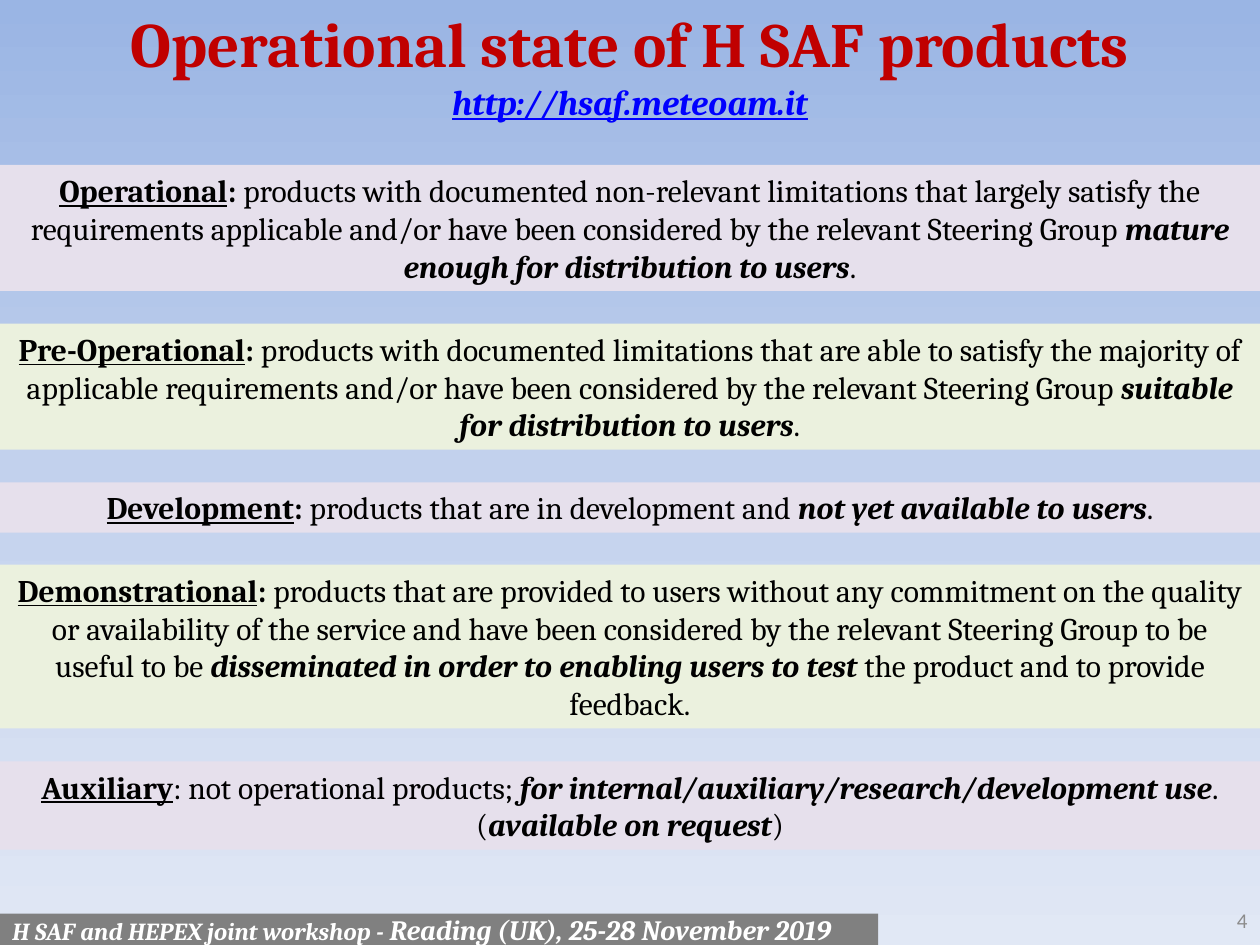
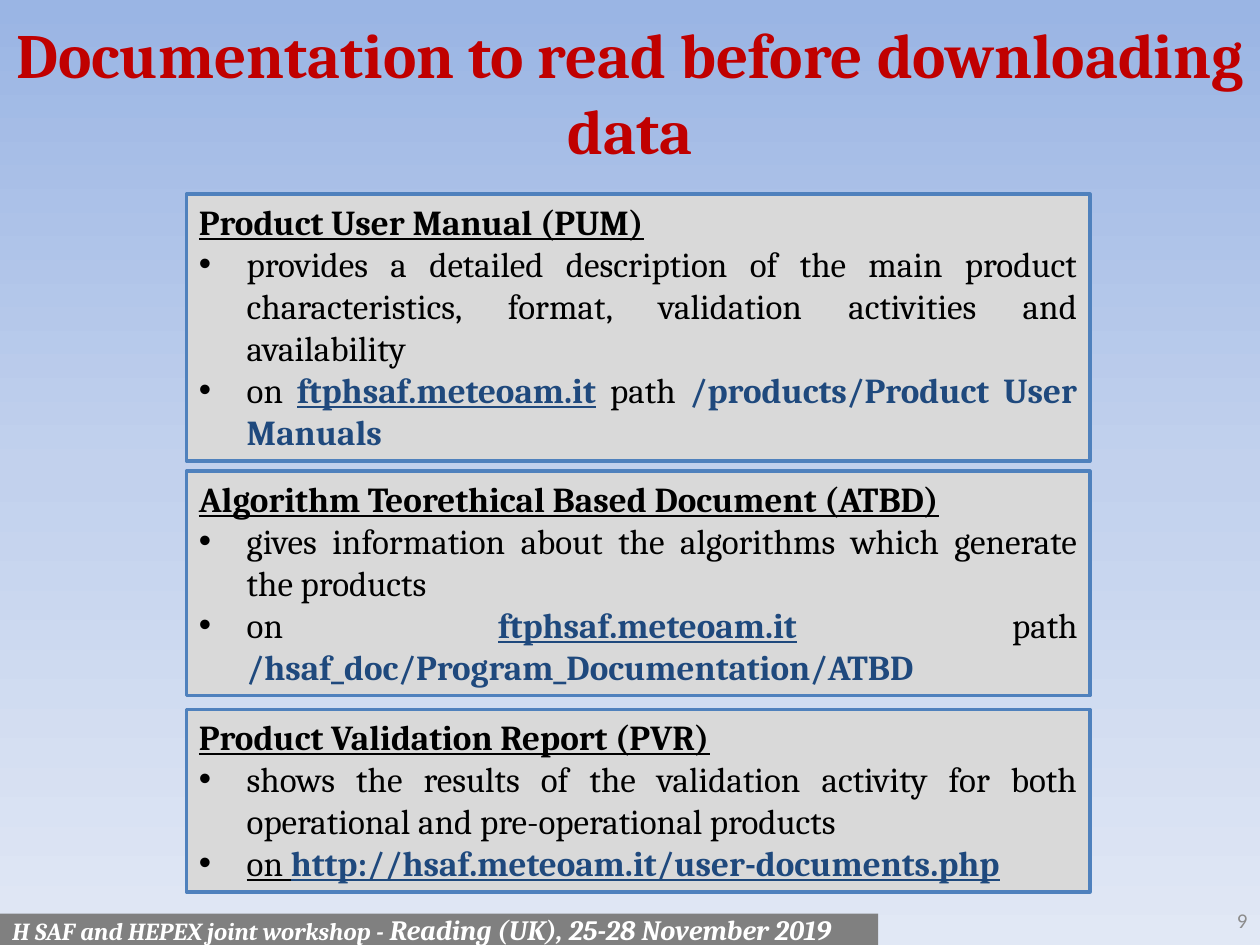
from copy import deepcopy

from lxml import etree
from pptx import Presentation
from pptx.dml.color import RGBColor
from pptx.enum.shapes import MSO_SHAPE
from pptx.enum.text import MSO_ANCHOR, MSO_AUTO_SIZE, PP_ALIGN
from pptx.oxml.ns import qn
from pptx.util import Inches, Pt

RECT = MSO_SHAPE.RECTANGLE
TOP, MIDDLE = MSO_ANCHOR.TOP, MSO_ANCHOR.MIDDLE
LEFT, CENTER, RIGHT, JUSTIFY = PP_ALIGN.LEFT, PP_ALIGN.CENTER, PP_ALIGN.RIGHT, PP_ALIGN.JUSTIFY
GROW, FIXED = MSO_AUTO_SIZE.SHAPE_TO_FIT_TEXT, MSO_AUTO_SIZE.NONE

COLORS = {
    "title": "C00000", "link": "0000FF", "text": "000000", "path": "1F497D",
    "lilac": "E6E0EC", "green": "EBF1DE", "panel": "D9D9D9", "border": "4F81BD",
    "footer": "808080", "white": "FFFFFF", "number": "8C8C8C",
}
BACKGROUND = [(0, "9AB5E4"), (0.5, "C2D1ED"), (1, "E1E8F5")]

STATES = [
    (3, [[("Operational", "bu"), (": ", "b"),
          ("products with documented non-relevant limitations that largely satisfy the "
           "requirements applicable and/or have been considered by the relevant Steering Group ", ""),
          ("mature enough for distribution to users", "bi"), (".", "")]]),
    (3, [[("Pre-Operational", "bu"), (": ", "b"),
          ("products with documented limitations that are able to satisfy the majority of "
           "applicable requirements and/or have been considered by the relevant Steering Group ", ""),
          ("suitable for distribution to users", "bi"), (".", "")]]),
    (1, [[("Development", "bu"), (": ", "b"), ("products that are in development and ", ""),
          ("not yet available to users", "bi"), (".", "")]]),
    (4, [[("Demonstrational", "bu"), (":", "b"),
          (" products that are provided to users without any commitment on the quality or "
           "availability of the service and have been considered by the relevant Steering Group "
           "to be useful to be ", ""),
          ("disseminated in order to enabling users to test", "bi"),
          (" the product and to provide feedback.", "")]]),
    (2, [[("Auxiliary", "bu"), (": not operational products; ", ""),
          ("for internal/auxiliary/research/development use", "bi"), (".", "")],
         [("(", ""), ("available on request", "bi"), (")", "")]]),
]

FTP = [("on ", ""), ("ftphsaf.meteoam.it", "bup"), (" path ", "")]
DOCUMENTS = [
    (1.54, 2.12, "Product User Manual (PUM)",
     "provides a detailed description of the main product characteristics, format, "
     "validation activities and availability",
     FTP + [("/products/Product User Manuals", "bp")]),
    (3.74, 1.78, "Algorithm Teorethical Based Document (ATBD)",
     "gives information about the algorithms which generate the products",
     FTP + [("/hsaf_doc/Program_Documentation/ATBD", "bp")]),
    (5.63, 1.45, "Product Validation Report (PVR)",
     "shows the results of the validation activity for both operational and "
     "pre-operational products",
     [("on ", "u"), ("http://hsaf.meteoam.it/user-documents.php", "bup")]),
]


class Deck:
    """Holds the shared style and the current slide of the deck."""

    def __init__(self):
        self.prs = Presentation()
        self.prs.slide_width, self.prs.slide_height = Inches(10), Inches(7.5)
        master = self.prs.slide_master
        fill = master.background.fill
        fill.gradient()
        fill.gradient_angle = 270
        stops = master.element.xpath("./p:cSld/p:bg//a:gsLst")[0]
        stops.append(deepcopy(stops[0]))
        for stop, (position, color) in zip(fill.gradient_stops, BACKGROUND):
            stop.position = position
            stop.color.rgb = RGBColor.from_string(color)

    def style(self, r, size, flags="", color="text", name="Cambria"):
        r.font.name, r.font.size = name, Pt(size)
        r.font.bold, r.font.italic, r.font.underline = (f in flags for f in "biu")
        r.font.color.rgb = RGBColor.from_string(COLORS["path" if "p" in flags else color])

    def frame(self, sp, anchor, auto_size=FIXED):
        tf = sp.text_frame
        tf.word_wrap, tf.auto_size, tf.vertical_anchor = True, auto_size, anchor
        return tf

    def paragraph(self, p, runs, size, align):
        p.alignment = align
        for text, flags in runs:
            r = p.add_run()
            r.text = text
            self.style(r, size, flags)

    def slide(self, title, top, number):
        self.s = self.prs.slides.add_slide(self.prs.slide_layouts[5])
        sp = self.s.shapes.title
        sp.left, sp.top, sp.width, sp.height = 0, Inches(top), Inches(10), Inches(0.69)
        tf = self.frame(sp, MIDDLE)
        tf.text = title
        p = tf.paragraphs[0]
        p.alignment = CENTER
        for r, look in zip(p.runs, [(36, "b", "title"), (20, "biu", "link")]):
            self.style(r, *look)
        self.footer(number)

    def footer(self, number):
        tf = self.frame(self.box(0, 7.25, 6.97, 0.25, "footer"), MIDDLE)
        p = tf.paragraphs[0]
        p.alignment = LEFT
        for text, size in [("H SAF and HEPEX joint workshop - ", 14),
                           ("Reading (UK), 25-28 November 2019", 16)]:
            r = p.add_run()
            r.text = text
            self.style(r, size, "bi", "white")
        sp = self.s.shapes.add_textbox(Inches(7.67), Inches(7.1), Inches(2.33), Inches(0.4))
        tf = self.frame(sp, MIDDLE)
        tf.text = str(number)
        p = tf.paragraphs[0]
        p.alignment = RIGHT
        self.style(p.runs[0], 12, "", "number", "Calibri")

    def box(self, left, top, width, height, fill, line=None):
        sp = self.s.shapes.add_shape(RECT, Inches(left), Inches(top), Inches(width), Inches(height))
        sp.shadow.inherit = False
        sp.fill.solid()
        sp.fill.fore_color.rgb = RGBColor.from_string(COLORS[fill])
        if line:
            sp.line.color.rgb = RGBColor.from_string(COLORS[line])
            sp.line.width = Pt(2)
        else:
            sp.line.fill.background()
        return sp

    def band(self, top, height, fill, paragraphs):
        tf = self.frame(self.box(0, top, 10, height, fill), TOP, GROW)
        for i, runs in enumerate(paragraphs):
            p = tf.add_paragraph() if i else tf.paragraphs[0]
            self.paragraph(p, runs, 18, CENTER)

    def document(self, top, height, heading, purpose, location):
        tf = self.frame(self.box(1.48, top, 7.17, height, "panel", "border"), TOP, GROW)
        self.paragraph(tf.paragraphs[0], [(heading, "bu")], 20, JUSTIFY)
        for runs in ([(purpose, "")], location):
            p = tf.add_paragraph()
            self.bullet(p)
            self.paragraph(p, runs, 20, JUSTIFY)

    def bullet(self, p):
        pPr = p._p.get_or_add_pPr()
        pPr.set("marL", str(Inches(0.38)))
        pPr.set("indent", str(-Inches(0.38)))
        etree.SubElement(pPr, qn("a:buFont"), typeface="Arial")
        etree.SubElement(pPr, qn("a:buChar"), char="•")


def main():
    deck = Deck()

    deck.slide("Operational state of H SAF products\vhttp://hsaf.meteoam.it", 0.16, 4)
    top = 1.31
    for i, (lines, paragraphs) in enumerate(STATES):
        height = 0.1 + 0.3 * lines
        deck.band(top, height, ("lilac", "green")[i % 2], paragraphs)
        top += height + 0.25 + 0.003 * lines

    deck.slide("Documentation to read before downloading data", 0.38, 9)
    for document in DOCUMENTS:
        deck.document(*document)

    deck.prs.save("out.pptx")


if __name__ == "__main__":
    main()
